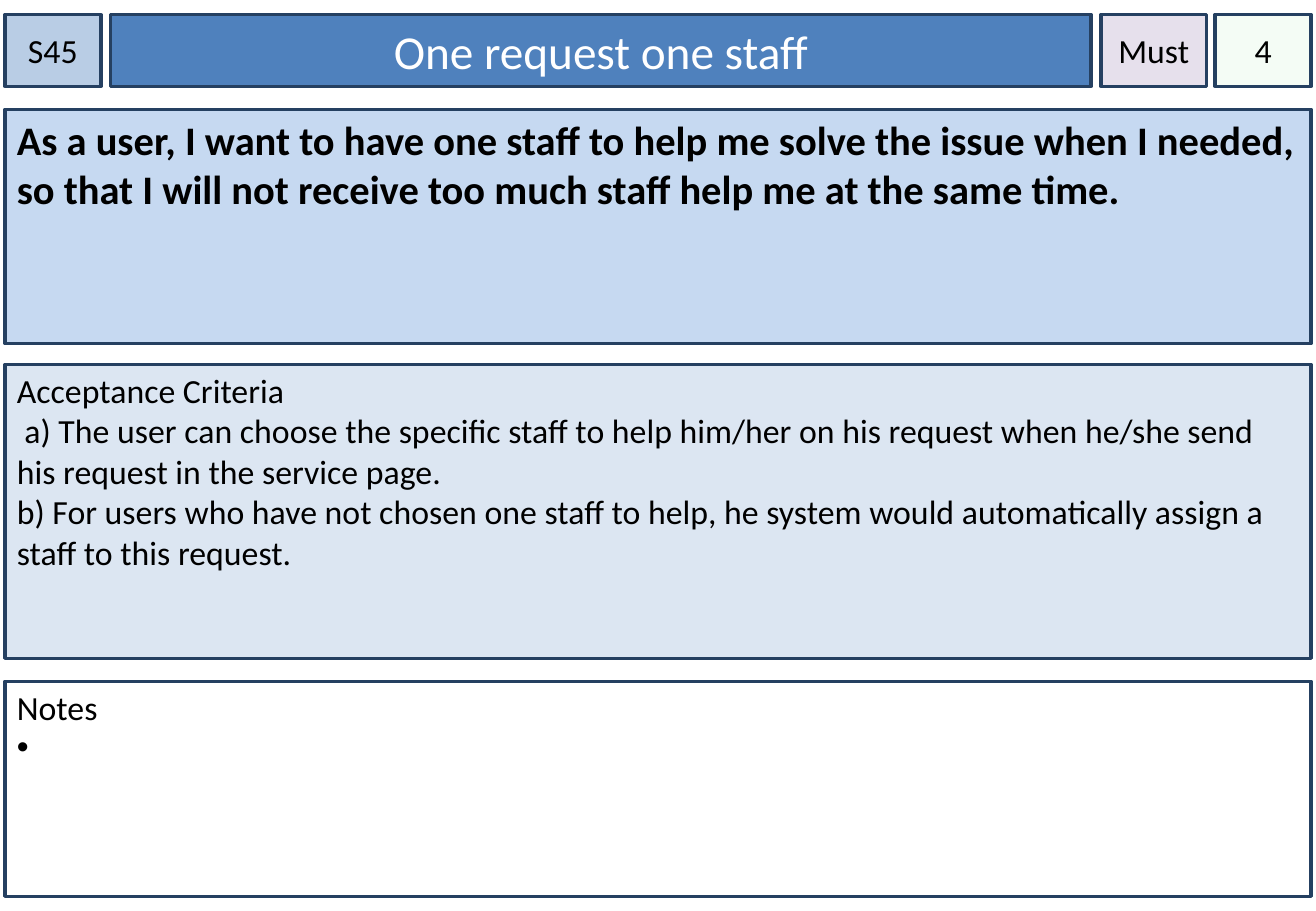
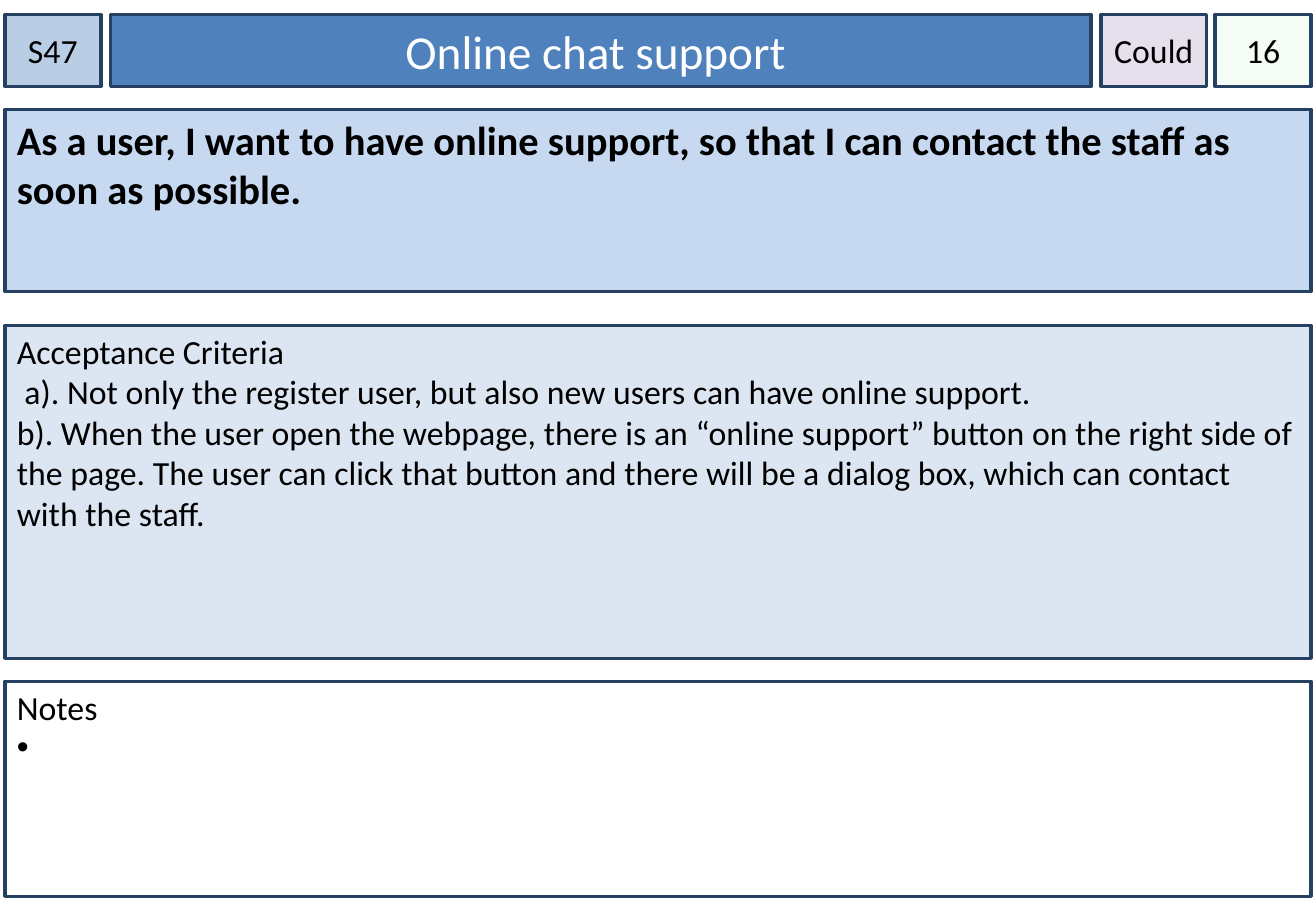
import pptx
import pptx.util
import pptx.dml.color
import pptx.enum.shapes
import pptx.enum.text
import pptx.oxml.ns
from lxml import etree

RGB = pptx.dml.color.RGBColor
ALIGN = pptx.enum.text.PP_ALIGN
ANCHOR = pptx.enum.text.MSO_ANCHOR
qn = pptx.oxml.ns.qn

PX = 9144  # 100 px to the inch
FONT = "Calibri"
BLACK, WHITE = RGB(0, 0, 0), RGB(255, 255, 255)
BORDER = RGB(0x25, 0x40, 0x61)
ID_FILL = RGB(0xB9, 0xCD, 0xE5)
TITLE_FILL = RGB(0x4F, 0x81, 0xBD)
PRIORITY_FILL = RGB(0xE6, 0xE0, 0xEC)
POINTS_FILL = RGB(0xCC, 0xF0, 0xCD)
STORY_FILL = RGB(0xC6, 0xD9, 0xF1)
CRITERIA_FILL = RGB(0xDC, 0xE6, 0xF2)

# Card frame shared by all slides
LEFT, WIDTH = 4, 1075
HEADER_TOP, HEADER_HEIGHT = 12, 59
STORY_TOP, CRITERIA_BOTTOM = 90, 542
NOTES_TOP, NOTES_HEIGHT = 561, 177

# Text styles: frame attributes, alignment and font attributes
BADGE = (dict(vertical_anchor=ANCHOR.MIDDLE, margin_left=0, margin_right=0,
              margin_top=5 * PX, margin_bottom=5 * PX, word_wrap=True),
         ALIGN.CENTER, dict(size=20))
UNWRAPPED = (dict(BADGE[0], word_wrap=False), ALIGN.CENTER, dict(size=20))
TITLE = (dict(vertical_anchor=ANCHOR.MIDDLE, word_wrap=True),
         ALIGN.CENTER, dict(size=28, color=WHITE))
STORY = (dict(vertical_anchor=ANCHOR.TOP, word_wrap=True),
         ALIGN.LEFT, dict(size=24, bold=True))
BODY = (dict(vertical_anchor=ANCHOR.TOP, word_wrap=True,
             margin_top=4 * PX, margin_bottom=5 * PX),
        ALIGN.LEFT, dict(size=20))


def set_font(font, size, color=BLACK, bold=False):
    for name, value in dict(name=FONT, size=pptx.util.Pt(size), bold=bold).items():
        setattr(font, name, value)
    font.color.rgb = color


def add_bullet(p):
    pPr = p._p.get_or_add_pPr()
    pPr.set("marL", str(20 * PX))
    pPr.set("indent", str(-20 * PX))
    etree.SubElement(pPr, qn("a:buFont")).set("typeface", "Arial")
    etree.SubElement(pPr, qn("a:buChar")).set("char", "•")


def add_box(s, box, fill, style, lines, bullets=()):
    """Bordered rectangle with one paragraph per line."""
    frame, align, font = style
    sp = s.shapes.add_shape(pptx.enum.shapes.MSO_SHAPE.RECTANGLE,
                            *(v * PX for v in box))
    sp.shadow.inherit = False
    sp.fill.solid()
    sp.fill.fore_color.rgb = fill
    sp.line.color.rgb = BORDER
    sp.line.width = pptx.util.Pt(2)
    tf = sp.text_frame
    for name, value in frame.items():
        setattr(tf, name, value)
    for i, line in enumerate([*lines, *bullets]):
        p = tf.add_paragraph() if i else tf.paragraphs[0]
        p.alignment = align
        if i >= len(lines):
            add_bullet(p)
        r = p.add_run()
        r.text = line
        set_font(r.font, **font)
    return sp


def set_opacity(sp, percent):
    color = sp.fill._xPr.find(qn("a:solidFill"))[0]
    etree.SubElement(color, qn("a:alpha")).set("val", str(percent * 1000))


def add_header(s, left, top, height, story_id, title, priority, points):
    # Offset in the header, width, fill, style, text
    cells = [(0, 79, ID_FILL, BADGE, story_id),
             (87, 807, TITLE_FILL, TITLE, title),
             (902, 87, PRIORITY_FILL, UNWRAPPED, priority),
             (996, 79, POINTS_FILL, BADGE, points)]
    for x, width, fill, style, text in cells:
        sp = add_box(s, (left + x, top, width, height), fill, style, [text])
    set_opacity(sp, 20)  # the points badge is last


def add_story_card(prs, header, story, story_height, criteria_top, criteria):
    s = prs.slides.add_slide(prs.slide_layouts[6])
    add_header(s, LEFT, HEADER_TOP, HEADER_HEIGHT, *header)
    add_box(s, (LEFT, STORY_TOP, WIDTH, story_height), STORY_FILL, STORY, [story])
    add_box(s, (LEFT, criteria_top, WIDTH, CRITERIA_BOTTOM - criteria_top),
            CRITERIA_FILL, BODY, ["Acceptance Criteria", *criteria])
    # The space keeps the open bullet visible
    add_box(s, (LEFT, NOTES_TOP, WIDTH, NOTES_HEIGHT), WHITE, BODY,
            ["Notes"], bullets=[" "])


def main():
    prs = pptx.Presentation()
    prs.slide_width, prs.slide_height = 1083 * PX, 750 * PX
    add_story_card(
        prs, ("S45", "One request one staff", "Must", "4"),
        "As a user, I want to have one staff to help me solve the issue when I "
        "needed, so that I will not receive too much staff help me at the same time.",
        193, 300,
        [" a) The user can choose the specific staff to help him/her on his request "
         "when he/she send his request in the service page.",
         "b) For users who have not chosen one staff to help, he system would "
         "automatically assign a staff to this request."])
    add_story_card(
        prs, ("S47", "Online chat support ", "Could", "16"),
        "As a user, I want to have online support, so that I can contact the staff "
        "as soon as possible.",
        150, 268,
        [" a). Not only the register user, but also new users can have online support.",
         "b). When the user open the webpage, there is an “online support” button on "
         "the right side of the page. The user can click that button and there will "
         "be a dialog box, which can contact with the staff."])
    prs.save("out.pptx")


if __name__ == "__main__":
    main()
